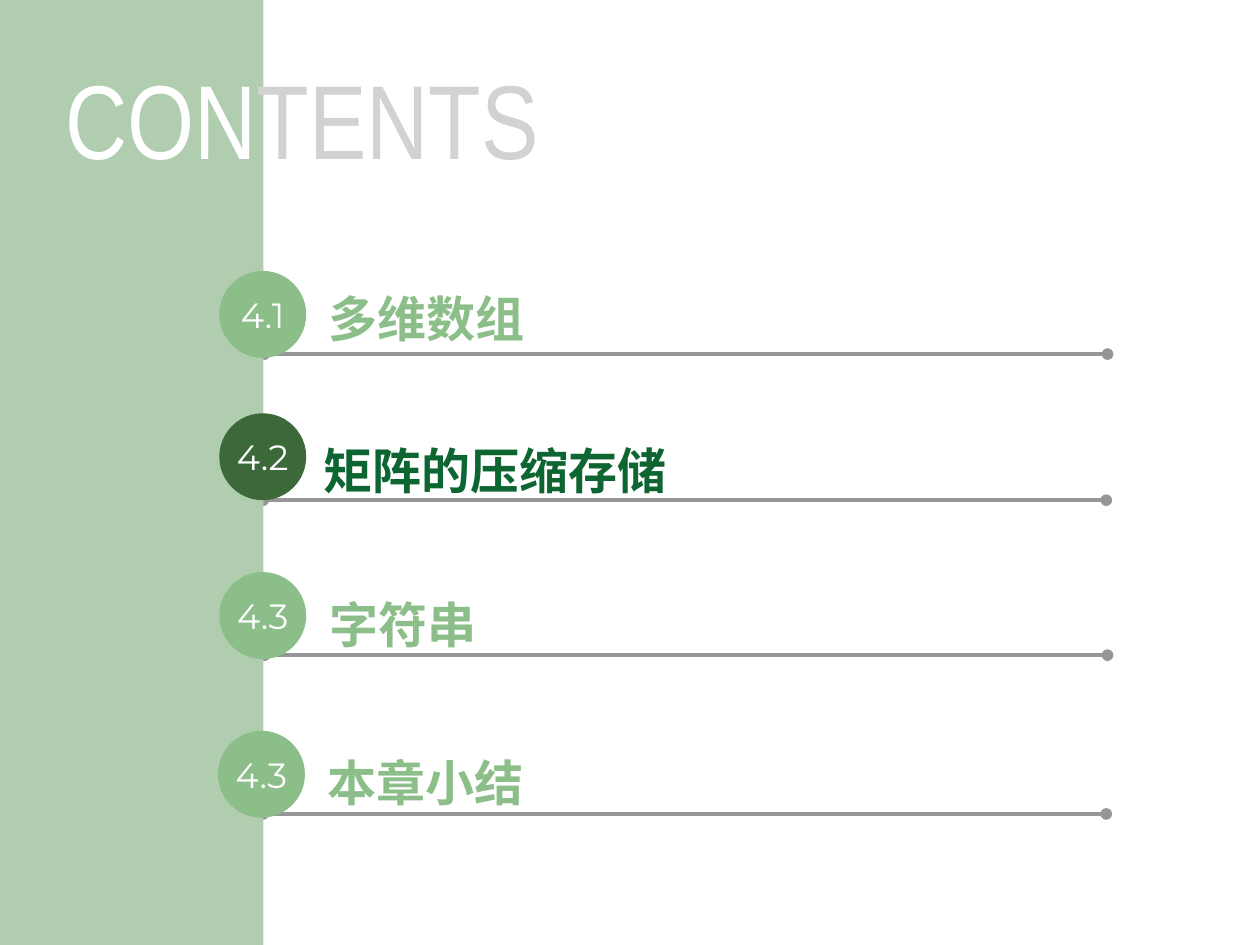
from lxml import etree
from pptx import Presentation
from pptx.dml.color import RGBColor
from pptx.enum.shapes import MSO_CONNECTOR, MSO_SHAPE
from pptx.enum.text import MSO_ANCHOR, MSO_AUTO_SIZE, PP_ALIGN
from pptx.oxml.ns import qn
from pptx.util import Inches, Pt

RECT, OVAL = MSO_SHAPE.RECTANGLE, MSO_SHAPE.OVAL
STRAIGHT = MSO_CONNECTOR.STRAIGHT
MIDDLE = MSO_ANCHOR.MIDDLE
NO_FIT = MSO_AUTO_SIZE.NONE
LEFT, CENTER = PP_ALIGN.LEFT, PP_ALIGN.CENTER

COLORS = {
    "band": "B1CDB0",
    "muted": "8BBE88",
    "active_circle": "3C693A",
    "active_text": "0D6531",
    "rule": "969696",
    "white": "FFFFFF",
    "gray": "D2D2D2",
}
FORMATS = {
    "title": {"name": "Arial Narrow", "size": Pt(60), "bold": False},
    "number": {"name": "Montserrat", "size": Pt(20), "bold": False},
    "chapter": {"name": "Noto Sans CJK SC", "size": Pt(28), "bold": True},
}


class ContentsSlide:
    def __init__(self, prs):
        self.s = prs.slides.add_slide(prs.slide_layouts[5])

    def rgb(self, color):
        return RGBColor.from_string(COLORS[color])

    def fill_text(self, sp, runs, style, align):
        tf = sp.text_frame
        frame = {"word_wrap": True, "auto_size": NO_FIT, "vertical_anchor": MIDDLE}
        for key, value in frame.items():
            setattr(tf, key, value)
        p = tf.paragraphs[0]
        p.alignment = align
        for text, color in runs:
            r = p.add_run()
            r.text = text
            for key, value in FORMATS[style].items():
                setattr(r.font, key, value)
            r.font.color.rgb = self.rgb(color)
            ea = etree.SubElement(r.font._element, qn("a:ea"))
            ea.set("typeface", FORMATS[style]["name"])

    def shape(self, kind, x, y, w, h, color):
        sp = self.s.shapes.add_shape(kind, Inches(x), Inches(y), Inches(w), Inches(h))
        sp.shadow.inherit = False
        sp.fill.solid()
        sp.fill.fore_color.rgb = self.rgb(color)
        sp.line.fill.background()
        return sp

    def circle(self, x, y, number, color):
        sp = self.shape(OVAL, x, y, 0.69, 0.69, color)
        for side in ("left", "top", "right", "bottom"):
            setattr(sp.text_frame, f"margin_{side}", 0)
        self.fill_text(sp, [(number, "white")], "number", CENTER)

    def rule(self, x, y):
        c = self.s.shapes.add_connector(
            STRAIGHT, Inches(x), Inches(y), Inches(x + 6.69), Inches(y))
        c.line.color.rgb = self.rgb("rule")
        c.line.width = Pt(2.25)
        ln = c.line._get_or_add_ln()
        for end in ("a:headEnd", "a:tailEnd"):
            etree.SubElement(ln, qn(end)).set("type", "oval")
        etree.SubElement(c._element.spPr, qn("a:effectLst"))

    def label(self, x, y, w, text, color):
        sp = self.s.shapes.add_textbox(Inches(x), Inches(y), Inches(w), Inches(0.4))
        self.fill_text(sp, [(text, color)], "chapter", LEFT)

    def title(self, x, y, w, h, runs):
        sp = self.s.shapes.title
        box = {"left": x, "top": y, "width": w, "height": h}
        for key, value in box.items():
            setattr(sp, key, Inches(value))
        self.fill_text(sp, runs, "title", CENTER)
        self.s.shapes._spTree.append(sp._element)


def main():
    prs = Presentation()
    prs.slide_width, prs.slide_height = Inches(10), Inches(7.5)
    contents = ContentsSlide(prs)

    chapters = [
        ("4.1", "多维数组", (1.74, 2.15), (2.51, 2.32, 6.31), (2.1, 2.81)),
        ("4.2", "矩阵的压缩存储", (1.74, 3.28), (2.47, 3.53, 6.61), (2.09, 3.97)),
        ("4.3", "字符串", (1.74, 4.54), (2.52, 4.75, 4.31), (2.1, 5.2)),
        ("4.3", "本章小结", (1.73, 5.8), (2.5, 6.01, 4.31), (2.09, 6.46)),
    ]
    active = "4.2"

    for *_, rule in chapters:
        contents.rule(*rule)
    contents.shape(RECT, 0, 0, 2.09, 7.5, "band")
    contents.title(-0.04, 0.35, 4.88, 1.16, [("CON", "white"), ("TENTS", "gray")])
    for number, text, circle, label, _ in chapters:
        is_active = number == active
        contents.circle(*circle, number, "active_circle" if is_active else "muted")
        contents.label(*label, text, "active_text" if is_active else "muted")

    prs.save("out.pptx")


if __name__ == "__main__":
    main()
